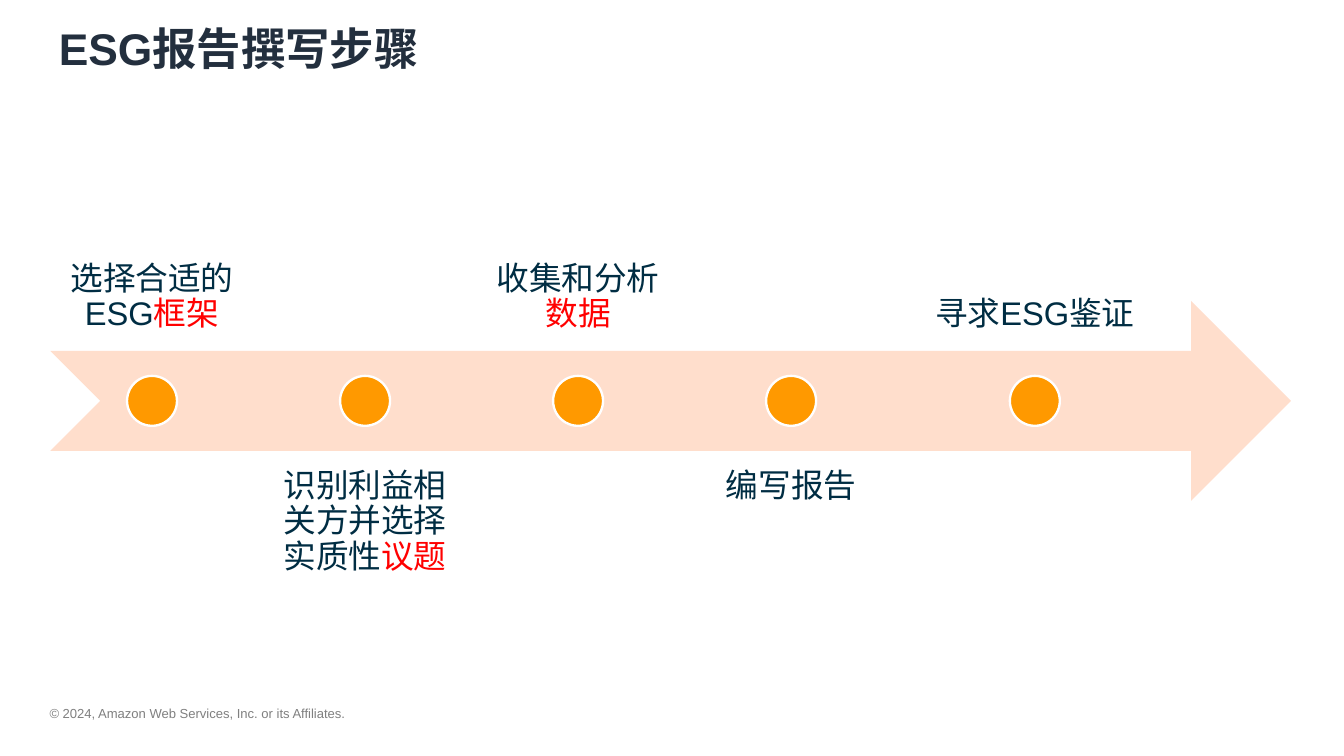
import pptx
import pptx.util
import pptx.dml.color
import pptx.enum.shapes
import pptx.enum.text

Pt = pptx.util.Pt
SHAPE = pptx.enum.shapes.MSO_SHAPE
ANCHOR = pptx.enum.text.MSO_ANCHOR
ALIGN = pptx.enum.text.PP_ALIGN
COLORS = {"title": "232F3E", "label": "002D43", "key": "FF0000", "arrow": "FFDECC",
          "dot": "FF9900", "ring": "FFFFFF", "footer": "808080"}
STEPS = [("选择合适的ESG", "框架", 174.2), ("识别利益相关方并选择实质性", "议题", 174.2),
         ("收集和分析", "数据", 174.2), ("编写报告", "", 174.2), ("寻求ESG鉴证", "", 226.8)]
STEP_GAP = 8.4


def rgb(name):
    return pptx.dml.color.RGBColor.from_string(COLORS[name])


def set_frame(tf, inset, anchor):
    tf.word_wrap = True
    tf.auto_size = pptx.enum.text.MSO_AUTO_SIZE.NONE
    tf.vertical_anchor = anchor
    tf.margin_left = tf.margin_right = Pt(inset)
    tf.margin_top = tf.margin_bottom = Pt(min(inset, 16))


def set_font(font, size, color, bold=False):
    font.name = "Arial"
    font.size = Pt(size)
    font.bold = bold
    font.color.rgb = rgb(color)


def add_title(s, x, y, w, h):
    sp = s.shapes.title
    sp.left, sp.top, sp.width, sp.height = Pt(x), Pt(y), Pt(w), Pt(h)
    tf = sp.text_frame
    set_frame(tf, 7.2, ANCHOR.TOP)
    tf.margin_top = tf.margin_bottom = Pt(3.6)
    p = tf.paragraphs[0]
    p.text = "ESG报告撰写步骤"
    p.alignment = ALIGN.LEFT
    set_font(p.font, 38, "title", True)


def add_footer(s, x, y, w, h):
    tf = s.shapes.add_textbox(Pt(x), Pt(y), Pt(w), Pt(h)).text_frame
    set_frame(tf, 0, ANCHOR.TOP)
    p = tf.paragraphs[0]
    p.text = "© 2024, Amazon Web Services, Inc. or its Affiliates."
    set_font(p.font, 11.2, "footer")


def add_solid(s, kind, x, y, w, h, color):
    sp = s.shapes.add_shape(kind, Pt(x), Pt(y), Pt(w), Pt(h))
    sp.shadow.inherit = False
    sp.fill.solid()
    sp.fill.fore_color.rgb = rgb(color)
    sp.line.fill.background()
    return sp


def add_label(s, x, y, w, h, anchor, text, key):
    tf = s.shapes.add_textbox(Pt(x), Pt(y), Pt(w), Pt(h)).text_frame
    set_frame(tf, 15.8, anchor)
    p = tf.paragraphs[0]
    p.alignment = ALIGN.CENTER
    p.line_spacing = 0.9
    set_font(p.font, 28, "label")
    r = p.add_run()
    r.text = text
    set_font(r.font, 28, "label")
    if key:
        r = p.add_run()
        r.text = key
        set_font(r.font, 28, "key")


def add_timeline(s, x, y, w, h):
    add_solid(s, SHAPE.NOTCHED_RIGHT_ARROW, x, y + 0.3 * h, w, 0.4 * h, "arrow")
    dot = 0.1 * h
    left = x
    for i, (text, key, width) in enumerate(STEPS):
        below = i % 2 == 1
        top = y + 0.6 * h if below else y
        anchor = ANCHOR.TOP if below else ANCHOR.BOTTOM
        add_label(s, left, top, width, 0.4 * h, anchor, text, key)
        sp = add_solid(s, SHAPE.OVAL, left + (width - dot) / 2, y + (h - dot) / 2,
                       dot, dot, "dot")
        sp.line.color.rgb = rgb("ring")
        sp.line.width = Pt(2)
        left += width + STEP_GAP


def main():
    prs = pptx.Presentation()
    prs.slide_width, prs.slide_height = Pt(1152), Pt(648)
    s = prs.slides.add_slide(prs.slide_layouts[5])
    add_footer(s, 42.5, 604.8, 560, 13.7)
    add_title(s, 43.2, 14.4, 1064.2, 68.4)
    add_timeline(s, 43.2, 129.4, 1063.4, 428.4)
    prs.save("out.pptx")


if __name__ == "__main__":
    main()
